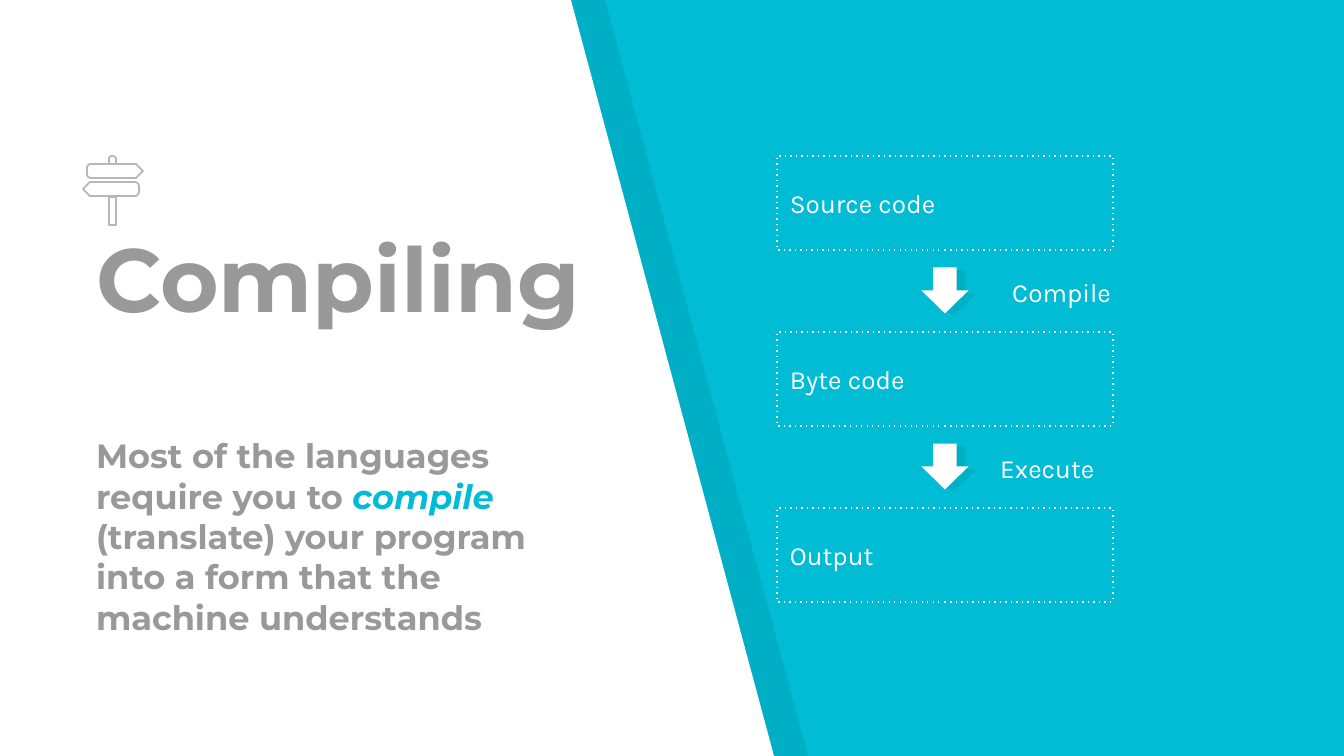
import math
from dataclasses import dataclass

from lxml import etree
from pptx import Presentation
from pptx.dml.color import RGBColor
from pptx.enum import dml, shapes, text
from pptx.oxml import ns
from pptx.util import Pt

PX = 914400 / 134.4  # EMU in one px


@dataclass(frozen=True)
class Theme:
    cyan: str = "00BCD4"
    white: str = "FFFFFF"
    shade: str = "000000"
    grey: str = "999999"
    sign: str = "B7B7B7"
    heading_font: str = "Montserrat"
    label_font: str = "Karla"
    heading_size: int = 48
    body_size: int = 18
    label_size: int = 14
    shade_alpha: int = 7


THEME = Theme()


def px(*lengths):
    return [round(length * PX) for length in lengths]


def paint(shape, fill=None, line=None, width=0.75, alpha=None, dash=None):
    """Set fill and outline, and drop the theme shadow."""
    shape.shadow.inherit = False
    if fill:
        shape.fill.solid()
        shape.fill.fore_color.rgb = RGBColor.from_string(fill)
    else:
        shape.fill.background()
    if alpha is not None:
        color = shape._element.spPr.find(".//" + ns.qn("a:srgbClr"))
        etree.SubElement(color, ns.qn("a:alpha")).set("val", str(alpha * 1000))
    if line:
        shape.line.color.rgb = RGBColor.from_string(line)
        shape.line.width = Pt(width)
    else:
        shape.line.fill.background()
    if dash:
        shape.line.dash_style = dml.MSO_LINE.ROUND_DOT
        shape._element.spPr.find(".//" + ns.qn("a:prstDash")).set("val", dash)


def write(paragraph, words, *, font, size, color, bold=False, italic=False):
    """Add one formatted run to a left-aligned paragraph."""
    paragraph.alignment = text.PP_ALIGN.LEFT
    run = paragraph.add_run()
    run.text = words
    run.font.name = font
    run.font.size = Pt(size)
    run.font.bold = bold
    run.font.italic = italic
    run.font.color.rgb = RGBColor.from_string(color)


def set_frame(frame, anchor, inset=13):
    frame.word_wrap = True
    frame.auto_size = text.MSO_AUTO_SIZE.NONE
    frame.vertical_anchor = anchor
    frame.margin_left, frame.margin_top = px(inset, inset)
    frame.margin_right, frame.margin_bottom = px(inset, inset)


def write_label(frame, words):
    write(frame.paragraphs[0], words, font=THEME.label_font,
          size=THEME.label_size, color=THEME.white)


def add_outline(parent, points, **look):
    start, *rest = [px(*point) for point in points]
    builder = parent.build_freeform(*start)
    builder.add_line_segments(rest, close=True)
    paint(builder.convert_to_shape(), **look)


def arc(x, y, radius, start, steps=4):
    """Points along a quarter circle, clockwise from start degrees."""
    angles = [math.radians(start + 90 * i / steps) for i in range(steps + 1)]
    return [(x + radius * math.cos(a), y + radius * math.sin(a)) for a in angles]


def add_panel(slide):
    shadow = 34
    for shift, look in ((shadow, dict(fill=THEME.shade, alpha=THEME.shade_alpha)),
                        (0, dict(fill=THEME.white))):
        edge = [(shift, 0), (shift, 756), (774 + shift, 756), (571 + shift, 0)]
        add_outline(slide.shapes, edge, **look)


def add_signpost(slide):
    sign = slide.shapes.add_group_shape().shapes
    look = dict(line=THEME.sign, width=0.96)
    # Boards: the lower one is the upper one mirrored
    board = [(136, 164), (143, 171), (136, 178),
             *arc(91, 174, 4, 90), *arc(91, 168, 4, 180)]
    add_outline(sign, board, **look)
    add_outline(sign, [(226 - x, y + 18) for x, y in board], **look)
    # Cap and post
    cap = [(116, 164), (109, 164), *arc(112, 159, 3, 180, 3),
           *arc(113, 159, 3, 270, 3)]
    add_outline(sign, cap, **look)
    add_outline(sign, [(109, 197), (109, 225), (116, 225), (116, 197)], **look)


def add_heading(slide):
    title = slide.shapes.title
    title.left, title.top, title.width, title.height = px(83, 300, 519, 350)
    title._element.getparent().append(title._element)  # above the panel
    frame = title.text_frame
    set_frame(frame, text.MSO_ANCHOR.BOTTOM)
    look = dict(font=THEME.heading_font, color=THEME.grey, bold=True)
    write(frame.paragraphs[0], "Compiling", size=THEME.heading_size, **look)

    summary = frame.add_paragraph()
    summary.space_before = Pt(56)
    look["size"] = THEME.body_size
    write(summary, "Most of the languages require you to ", **look)
    write(summary, "compile ", **{**look, "color": THEME.cyan, "italic": True})
    write(summary, "(translate) your program into a form that the machine "
          "understands", **look)


def add_stage(slide, top, words):
    stage = slide.shapes.add_shape(shapes.MSO_SHAPE.RECTANGLE,
                                   *px(777, top, 336, 94))
    paint(stage, line=THEME.white, dash="dot")
    set_frame(stage.text_frame, text.MSO_ANCHOR.MIDDLE)
    write_label(stage.text_frame, words)


def add_step(slide, top, label_left, words):
    # Arrow over its offset shade
    pair = slide.shapes.add_group_shape().shapes
    for dx, dy, look in ((8, 3, dict(fill=THEME.shade, alpha=THEME.shade_alpha)),
                         (0, 0, dict(fill=THEME.white))):
        arrow = pair.add_shape(shapes.MSO_SHAPE.RIGHT_ARROW,
                               *px(922 + dx, top + dy, 46, 47))
        arrow.rotation = 90
        paint(arrow, **look)
    # Name of the step
    label = slide.shapes.add_textbox(*px(label_left, top + 3, 208, 46))
    label.text_frame.word_wrap = True
    write_label(label.text_frame, words)


def main():
    deck = Presentation()
    deck.slide_width, deck.slide_height = px(1344, 756)
    slide = deck.slides.add_slide(deck.slide_layouts[5])
    slide.background.fill.solid()
    slide.background.fill.fore_color.rgb = RGBColor.from_string(THEME.cyan)

    # Left side
    add_panel(slide)
    add_heading(slide)
    add_signpost(slide)

    # Flow on the right
    first_top, pitch = 156, 176
    for row, words in enumerate(("Source code", "Byte code", "Output")):
        add_stage(slide, first_top + row * pitch, words)
    for row, (left, words) in enumerate(((999, "Compile"), (987, "Execute"))):
        add_step(slide, first_top + 111 + row * pitch, left, words)

    deck.save("out.pptx")


if __name__ == "__main__":
    main()
